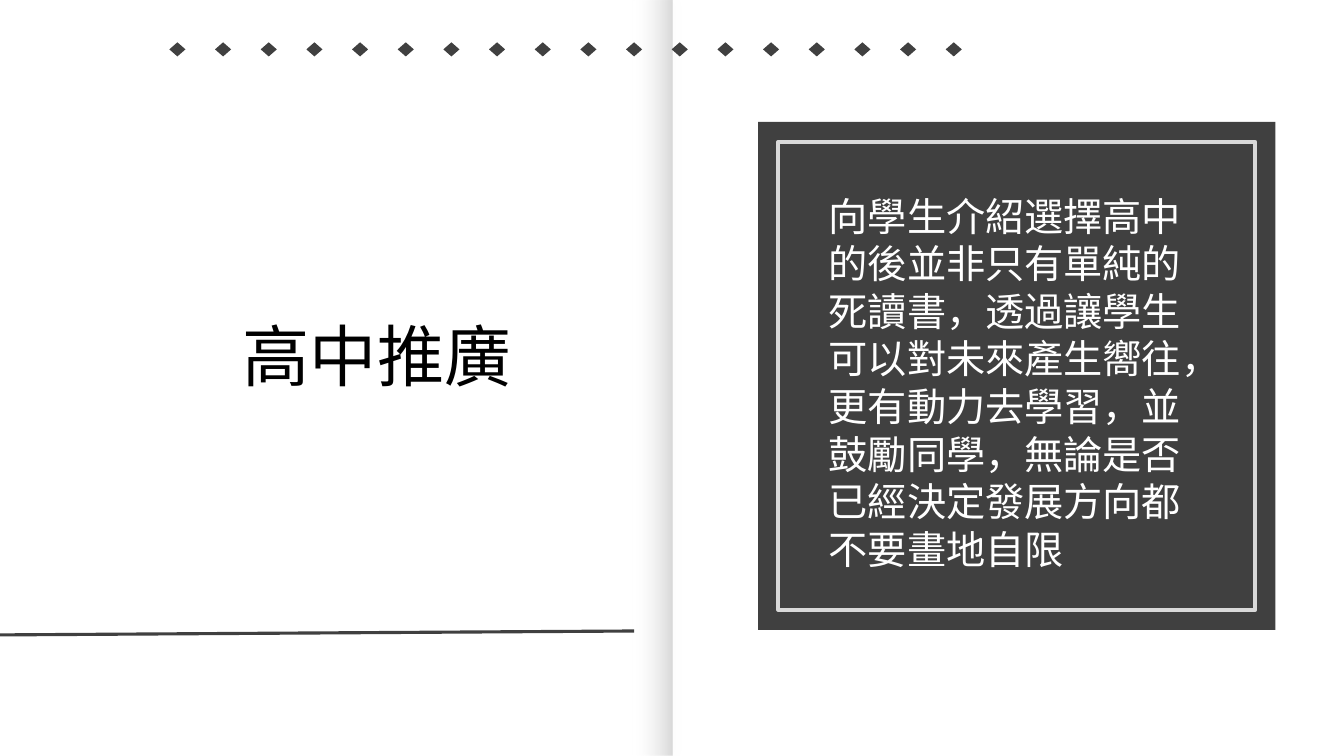
import pptx
import pptx.dml.color
import pptx.enum.shapes
import pptx.enum.text
import pptx.oxml
import pptx.oxml.ns
import pptx.util

PX = 9144  # one px is a hundredth of an inch
SLIDE_WIDTH, SLIDE_HEIGHT = 1333, 750
FONT = "Noto Sans CJK SC"
WHITE = pptx.dml.color.RGBColor(0xFF, 0xFF, 0xFF)
BLACK = pptx.dml.color.RGBColor(0x00, 0x00, 0x00)
CHARCOAL = pptx.dml.color.RGBColor(0x40, 0x40, 0x40)
FOLD_GREY = pptx.dml.color.RGBColor(0x80, 0x80, 0x80)
FRAME_GREY = pptx.dml.color.RGBColor(0xD9, 0xD9, 0xD9)
SHAPES = pptx.enum.shapes.MSO_SHAPE
ALIGN = pptx.enum.text.PP_ALIGN

TITLE = "高中推廣"
BODY = ("向學生介紹選擇高中的後並非只有單純的死讀書，透過讓學生可以對未來產生嚮往，"
        "更有動力去學習，並鼓勵同學，無論是否已經決定發展方向都不要畫地自限")


def emu(*lengths):
    return [round(length * PX) for length in lengths]


def add_plain_shape(shapes, kind, box, fill=None):
    shape = shapes.add_shape(kind, *emu(*box))
    shape.shadow.inherit = False
    shape.line.fill.background()
    if fill is None:
        shape.fill.background()
    else:
        shape.fill.solid()
        shape.fill.fore_color.rgb = fill
    return shape


def add_page(slide, box):
    """Left page, shaded towards the fold, with a faint shadow."""
    page = add_plain_shape(slide.shapes, SHAPES.RECTANGLE, box)
    page.fill.gradient()
    page.fill.gradient_angle = 0
    stops = ((0.94, WHITE, 0), (1.0, FOLD_GREY, 30))
    for stop, (position, color, opacity) in zip(page.fill.gradient_stops, stops):
        stop.position = position
        stop.color.rgb = color
    colors = page._element.spPr.findall(".//" + pptx.oxml.ns.qn("a:srgbClr"))
    for color_element, (_, _, opacity) in zip(colors, stops):
        alpha = pptx.oxml.parse_xml(
            f'<a:alpha {pptx.oxml.ns.nsdecls("a")} val="{opacity * 1000}"/>')
        color_element.append(alpha)
    effects = page._element.spPr.find(pptx.oxml.ns.qn("a:effectLst"))
    effects.append(pptx.oxml.parse_xml(
        f'<a:outerShdw {pptx.oxml.ns.nsdecls("a")} blurRad="{pptx.util.Pt(8)}" '
        f'dist="{pptx.util.Pt(3)}" dir="0" algn="l" rotWithShape="0">'
        '<a:srgbClr val="000000"><a:alpha val="4000"/></a:srgbClr></a:outerShdw>'))


def add_panel(slide, box, inset=20):
    """Dark panel with a light frame inside it."""
    left, top, width, height = box
    panel = slide.shapes.add_group_shape()
    add_plain_shape(panel.shapes, SHAPES.RECTANGLE, box, CHARCOAL)
    frame = add_plain_shape(
        panel.shapes, SHAPES.RECTANGLE,
        (left + inset, top + inset, width - 2 * inset, height - 2 * inset))
    frame.line.color.rgb = FRAME_GREY
    frame.line.width = pptx.util.Pt(3)


def add_diamond_row(slide, box, count=18, diamond_width=16):
    """Evenly spaced diamonds that fill the box from end to end."""
    left, top, width, height = box
    pitch = (width - diamond_width) / (count - 1)
    row = slide.shapes.add_group_shape()
    for index in range(count):
        add_plain_shape(row.shapes, SHAPES.DIAMOND,
                        (left + index * pitch, top, diamond_width, height), CHARCOAL)


def add_rule(slide, box):
    """Line rising from the lower left to the upper right of the box."""
    left, top, width, height = box
    rule = slide.shapes.add_connector(
        pptx.enum.shapes.MSO_CONNECTOR.STRAIGHT,
        *emu(left, top + height, left + width, top))
    rule.line.color.rgb = CHARCOAL
    rule.line.width = pptx.util.Pt(2.25)
    rule._element.spPr.append(
        pptx.oxml.parse_xml(f'<a:effectLst {pptx.oxml.ns.nsdecls("a")}/>'))


def place_text(slide, placeholder, box, text, size, line_height, color, alignment):
    """Move a placeholder to the front and set its single paragraph."""
    slide.shapes._spTree.append(placeholder._element)
    (placeholder.left, placeholder.top,
     placeholder.width, placeholder.height) = emu(*box)
    frame = placeholder.text_frame
    frame.text = text
    frame.word_wrap = True
    frame.auto_size = pptx.enum.text.MSO_AUTO_SIZE.SHAPE_TO_FIT_TEXT
    frame.vertical_anchor = pptx.enum.text.MSO_ANCHOR.TOP
    paragraph = frame.paragraphs[0]
    paragraph.alignment = alignment
    paragraph.space_before = pptx.util.Pt(0)
    paragraph.line_spacing = pptx.util.Pt(line_height)
    properties = paragraph._p.get_or_add_pPr()
    properties.set("marL", "0")
    properties.set("indent", "0")
    properties.append(
        pptx.oxml.parse_xml(f'<a:buNone {pptx.oxml.ns.nsdecls("a")}/>'))
    font = paragraph.runs[0].font
    font.size = pptx.util.Pt(size)
    font.color.rgb = color
    font.name = FONT
    font._element.append(pptx.oxml.parse_xml(
        f'<a:ea {pptx.oxml.ns.nsdecls("a")} typeface="{FONT}"/>'))


def build_slide(presentation):
    slide = presentation.slides.add_slide(presentation.slide_layouts[1])
    slide.background.fill.solid()
    slide.background.fill.fore_color.rgb = WHITE
    title, body = slide.shapes.title, slide.placeholders[1]

    # Book pages and panel
    add_page(slide, (0, 0, 667, SLIDE_HEIGHT))
    add_panel(slide, (752, 121, 513, 504))

    # Title, ornaments and body
    place_text(slide, title, (156, 306, 436, 91), TITLE, 48, 58, BLACK, ALIGN.CENTER)
    add_diamond_row(slide, (168, 42, 786, 14))
    add_rule(slide, (-21, 626, 650, 4))
    place_text(slide, body, (812, 185, 407, 387), BODY, 28, 34, WHITE, ALIGN.LEFT)


def main():
    presentation = pptx.Presentation()
    presentation.slide_width, presentation.slide_height = emu(SLIDE_WIDTH, SLIDE_HEIGHT)
    build_slide(presentation)
    presentation.save("out.pptx")


if __name__ == "__main__":
    main()
